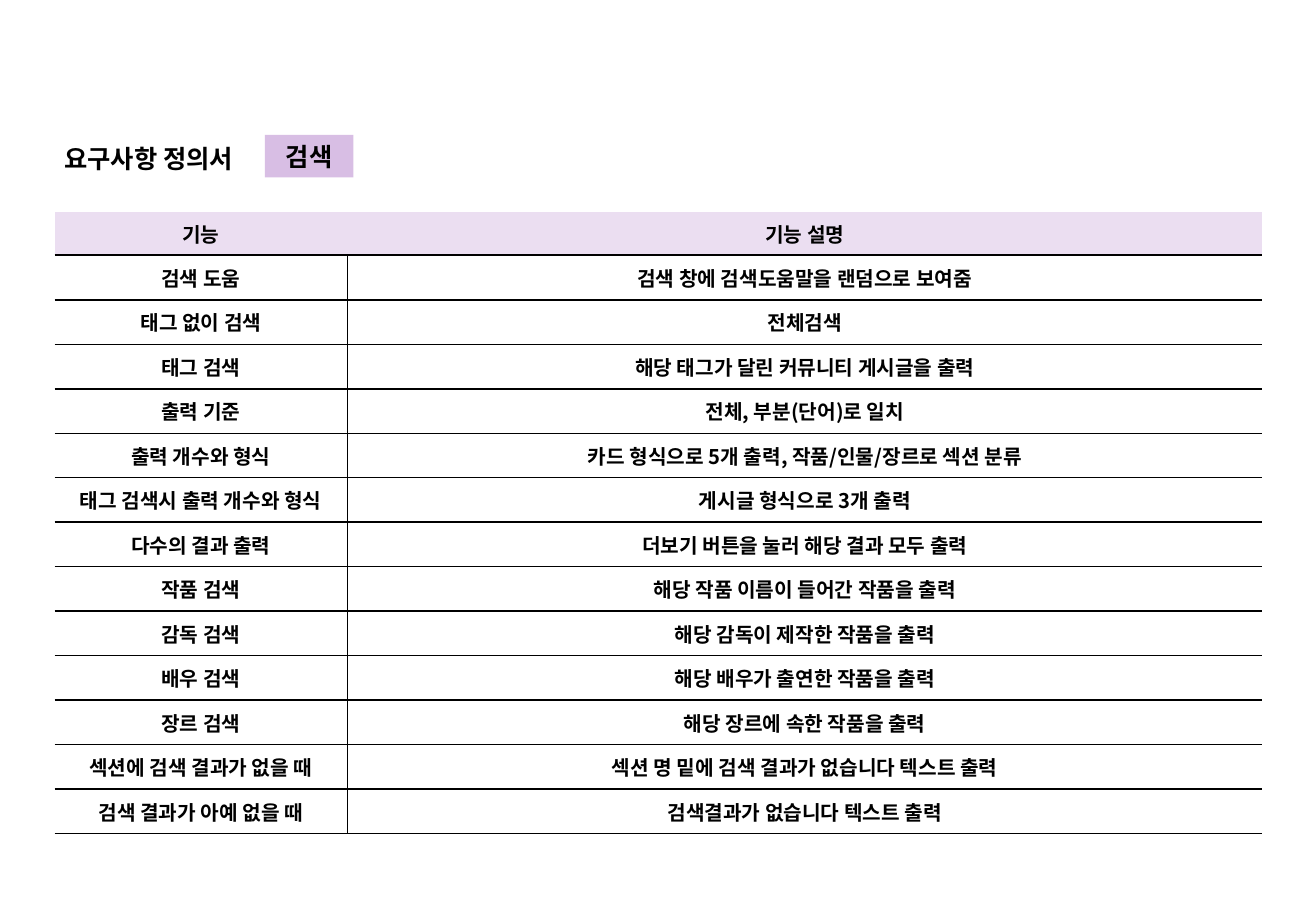
"""Build the search requirements page: title, category tag and feature table."""
from dataclasses import dataclass

from lxml import etree
from pptx import Presentation
from pptx import util as u
from pptx.dml.color import RGBColor
from pptx.enum import shapes, text
from pptx.oxml import ns


@dataclass(frozen=True)
class Theme:
    """Colours, font and type sizes of the page."""
    font: str = "Noto Sans CJK KR"
    ink: str = "000000"
    header: str = "EBDEF1"
    tag: str = "D8BEE4"
    heading_size: float = 15
    table_size: float = 12
    rule: float = 1
    header_rule: float = 1.5


@dataclass(frozen=True)
class Box:
    """A place on the page, in centimetres."""
    left: float
    top: float
    width: float
    height: float

    def lengths(self) -> tuple:
        """Return left, top, width and height as lengths."""
        return tuple(u.Cm(v) for v in (self.left, self.top, self.width, self.height))


@dataclass(frozen=True)
class Feature:
    """One table row: a feature and its description."""
    name: str
    description: str


THEME = Theme()
TITLE_BOX = Box(1.09, 2.87, 4.8, 0.89)
TAG_BOX = Box(5.54, 2.82, 1.85, 0.89)
COLUMN_WIDTHS = (6.12, 19.13)
HEADER_HEIGHT, ROW_HEIGHT = 0.9, 0.93
TABLE_LEFT, TABLE_TOP = 1.14, 4.44
CELL_INSET_X, CELL_INSET_Y = 0.08, 0.05
PLAIN_TABLE_STYLE = "{2D5ABB26-0587-4C30-8999-92F81FD0307C}"

HEADER = Feature("기능", "기능 설명")
FEATURES = (
    Feature("검색 도움", "검색 창에 검색도움말을 랜덤으로 보여줌"),
    Feature("태그 없이 검색", "전체검색"),
    Feature("태그 검색", "해당 태그가 달린 커뮤니티 게시글을 출력"),
    Feature("출력 기준", "전체, 부분(단어)로 일치"),
    Feature("출력 개수와 형식", "카드 형식으로 5개 출력, 작품/인물/장르로 섹션 분류"),
    Feature("태그 검색시 출력 개수와 형식", "게시글 형식으로 3개 출력"),
    Feature("다수의 결과 출력", "더보기 버튼을 눌러 해당 결과 모두 출력"),
    Feature("작품 검색", "해당 작품 이름이 들어간 작품을 출력"),
    Feature("감독 검색", "해당 감독이 제작한 작품을 출력"),
    Feature("배우 검색", "해당 배우가 출연한 작품을 출력"),
    Feature("장르 검색", "해당 장르에 속한 작품을 출력"),
    Feature("섹션에 검색 결과가 없을 때", "섹션 명 밑에 검색 결과가 없습니다 텍스트 출력"),
    Feature("검색 결과가 아예 없을 때", "검색결과가 없습니다 텍스트 출력"),
)


def write(frame, words: str, size: float, align=text.PP_ALIGN.CENTER) -> None:
    """Put one bold line of text in a frame."""
    frame.text = words
    para = frame.paragraphs[0]
    para.alignment = align
    font = para.font
    font.name, font.size, font.bold = THEME.font, u.Pt(size), True
    font.color.rgb = RGBColor.from_string(THEME.ink)
    east_asian = etree.SubElement(font._element, ns.qn("a:ea"))
    east_asian.set("typeface", THEME.font)


def add_heading(page) -> None:
    """Place the page title in its placeholder."""
    title = page.shapes.title
    title.left, title.top, title.width, title.height = TITLE_BOX.lengths()
    write(title.text_frame, "요구사항 정의서", THEME.heading_size, text.PP_ALIGN.LEFT)
    title.text_frame.vertical_anchor = text.MSO_ANCHOR.MIDDLE
    title.text_frame.auto_size = text.MSO_AUTO_SIZE.NONE


def add_tag(page) -> None:
    """Draw the category tag beside the title."""
    tag = page.shapes.add_shape(shapes.MSO_SHAPE.RECTANGLE, *TAG_BOX.lengths())
    tag.shadow.inherit = False
    tag.fill.solid()
    tag.fill.fore_color.rgb = RGBColor.from_string(THEME.tag)
    tag.line.fill.background()
    write(tag.text_frame, "검색", THEME.heading_size)
    tag.text_frame.vertical_anchor = text.MSO_ANCHOR.MIDDLE


def set_borders(cell, widths: dict[str, float]) -> None:
    """Rule the named sides (L, R, T, B, in that order) of a cell."""
    properties = cell._tc.get_or_add_tcPr()
    for index, (side, width) in enumerate(widths.items()):
        line = etree.Element(ns.qn(f"a:ln{side}"), w=str(u.Pt(width)))
        fill = etree.SubElement(line, ns.qn("a:solidFill"))
        etree.SubElement(fill, ns.qn("a:srgbClr"), val=THEME.ink)
        properties.insert(index, line)


def format_header(cell) -> None:
    """Shade a header cell and rule it off below."""
    cell.fill.solid()
    cell.fill.fore_color.rgb = RGBColor.from_string(THEME.header)
    set_borders(cell, {"B": THEME.header_rule})


def format_body(cell, row: int, column: int) -> None:
    """Rule a body cell and tighten its margins."""
    cell.fill.background()
    cell.margin_left = cell.margin_right = u.Cm(CELL_INSET_X)
    cell.margin_top = cell.margin_bottom = u.Cm(CELL_INSET_Y)
    inner_side = "R" if column == 0 else "L"
    top = THEME.header_rule if row == 1 else THEME.rule
    set_borders(cell, {inner_side: THEME.rule, "T": top, "B": THEME.rule})


def add_feature_table(page) -> None:
    """Draw the table of features and descriptions."""
    rows = (HEADER, *FEATURES)
    height = HEADER_HEIGHT + ROW_HEIGHT * len(FEATURES)
    box = Box(TABLE_LEFT, TABLE_TOP, sum(COLUMN_WIDTHS), height)
    table = page.shapes.add_table(len(rows), len(COLUMN_WIDTHS), *box.lengths()).table
    table.horz_banding = False
    table._tbl.tblPr.find(ns.qn("a:tableStyleId")).text = PLAIN_TABLE_STYLE
    for column, width in zip(table.columns, COLUMN_WIDTHS):
        column.width = u.Cm(width)
    for row, feature in enumerate(rows):
        table.rows[row].height = u.Cm(ROW_HEIGHT if row else HEADER_HEIGHT)
        for column, words in enumerate((feature.name, feature.description)):
            cell = table.cell(row, column)
            write(cell.text_frame, words, THEME.table_size)
            cell.vertical_anchor = text.MSO_ANCHOR.MIDDLE
            if row:
                format_body(cell, row, column)
            else:
                format_header(cell)


def main() -> None:
    """Build and save the deck."""
    deck = Presentation()
    deck.slide_width, deck.slide_height = u.Cm(27.51), u.Cm(19.05)
    title_only = deck.slide_layouts[5]
    page = deck.slides.add_slide(title_only)
    add_feature_table(page)
    add_heading(page)
    add_tag(page)
    deck.save("out.pptx")


main()
